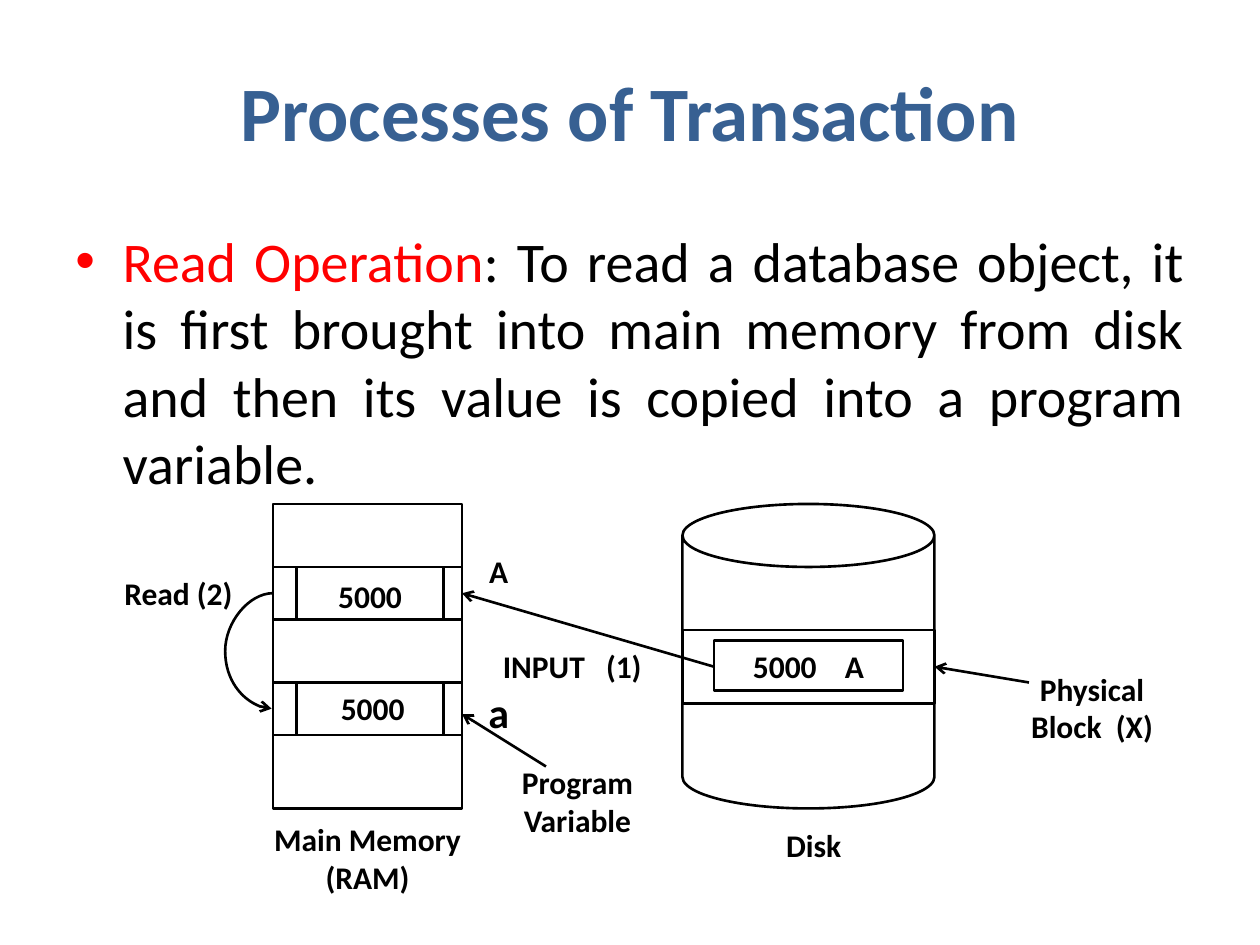
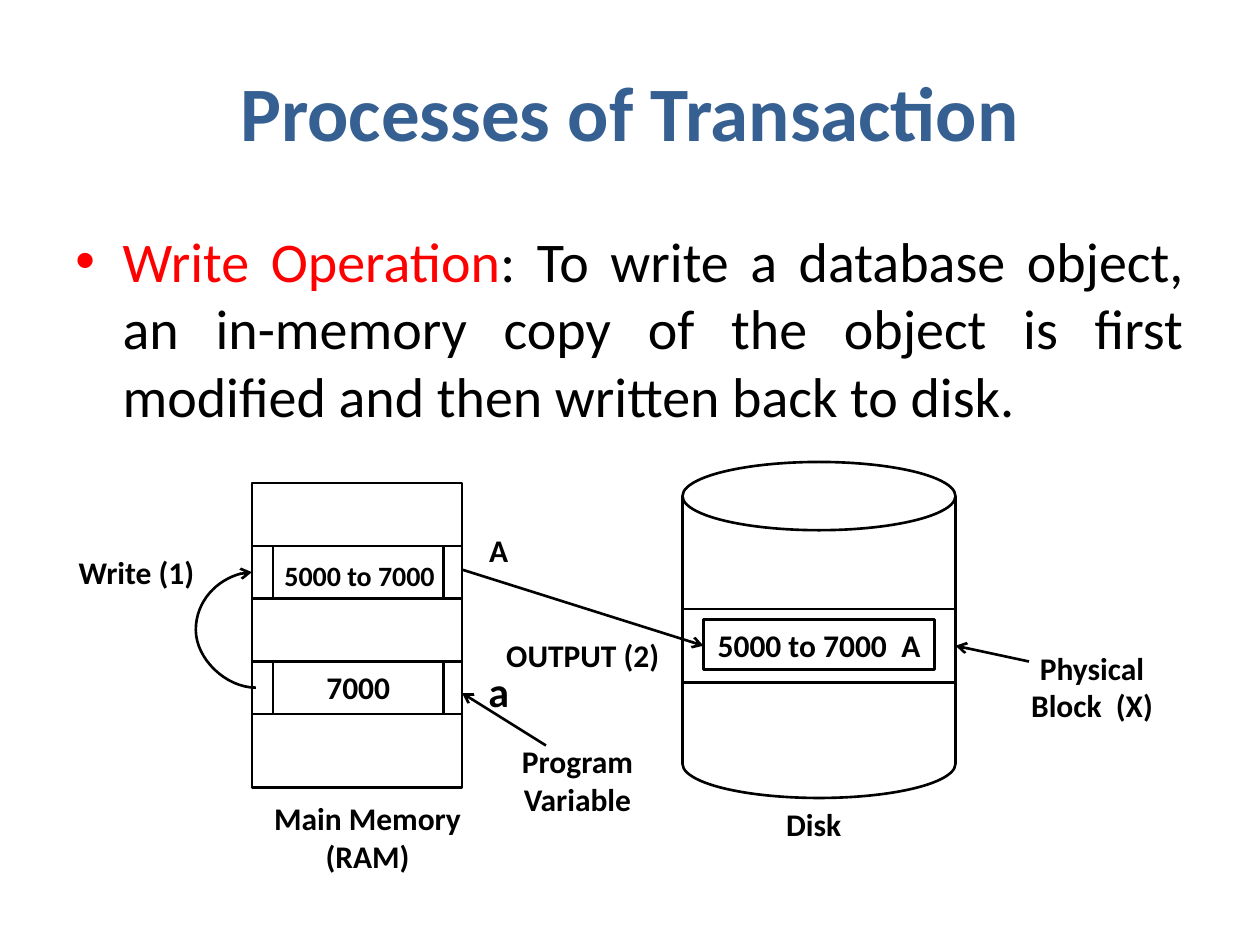
from dataclasses import dataclass

from lxml.etree import SubElement
from pptx import Presentation
from pptx.dml.color import RGBColor
from pptx.enum.shapes import MSO_CONNECTOR as Link, MSO_SHAPE as Preset
from pptx.enum.text import MSO_ANCHOR as Anchor, PP_ALIGN as Align
from pptx.oxml.ns import qn
from pptx.util import Emu, Pt

PX = 9525
FONT = "Calibri"
BLACK, RED, BLUE = "000000", "FF0000", "376092"
TITLE = "Processes of Transaction"
SLOT_OFFSETS = (48, 136)
SLOT_HEIGHT = 40
LABEL_HEIGHT = 38
TWO_LINES = 68
DISK_LEFT = 520
MEMORY_RIGHT = 352


@dataclass
class Operation:
    name: str
    text: str
    top: int
    memory_left: int
    slot: tuple
    disk: tuple
    record: tuple
    record_text: str
    record_gap: int
    transfer_text: str
    transfer_gap: int
    transfer_box: tuple
    transfer_line: tuple
    upper_text: str
    upper_box: tuple
    upper_size: int
    lower_text: str
    lower_left: int
    action_text: str
    action_left: int
    curve: tuple
    curve_left: int


READ = Operation(
    name="Read Operation",
    text=": To read a database object, it is first brought into main memory "
         "from disk and then its value is copied into a program variable.",
    top=384, memory_left=208, slot=(226, 112),
    disk=(384, 192, 232), record=(544, 144),
    record_text="5000|A", record_gap=12,
    transfer_text="INPUT|(1)", transfer_gap=8, transfer_box=(104, 152),
    transfer_line=(544, 508, 352, 452),
    upper_text="5000", upper_box=(230, 435, 104, 38), upper_size=18,
    lower_text="5000", lower_left=232,
    action_text="Read (2)", action_left=72,
    curve=(208, 452, 207, 540), curve_left=171)

WRITE = Operation(
    name="Write Operation",
    text=": To write a database object, an in-memory copy of the object is "
         "first modified and then written back to disk.",
    top=368, memory_left=192, slot=(208, 130),
    disk=(352, 208, 256), record=(536, 176),
    record_text="5000 to 7000|A", record_gap=4,
    transfer_text="OUTPUT (2)", transfer_gap=0, transfer_box=(112, 168),
    transfer_line=(352, 434, 536, 492),
    upper_text="5000 to 7000", upper_box=(202, 420, 144, 36), upper_size=16,
    lower_text="7000", lower_left=221,
    action_text="Write (1)", action_left=40,
    curve=(195, 524, 192, 436), curve_left=149)


def px(*lengths):
    return [Emu(length * PX) for length in lengths]


def color(value):
    return RGBColor.from_string(value)


def style(font, size, shade, bold=False):
    font.name = FONT
    font.size = Pt(size)
    font.bold = bold
    font.color.rgb = color(shade)


def write(shape, text, size=18, gap=0, anchor=Anchor.MIDDLE):
    frame = shape.text_frame
    frame.word_wrap = True
    frame.vertical_anchor = anchor
    para = frame.paragraphs[0]
    para.alignment = Align.CENTER
    for part in text.replace("|", "| |").split("|"):
        span = para.add_run()
        span.text = part
        style(span.font, size, BLACK, True)
        if part == " ":
            span.font._element.set("spc", str(gap * 100))


def label(page, text, box, **options):
    shape = page.shapes.add_textbox(*px(*box))
    write(shape, text, **options)


def outline(page, preset, box):
    shape = page.shapes.add_shape(preset, *px(*box))
    shape.shadow.inherit = False
    shape.fill.background()
    shape.line.color.rgb = color(BLACK)
    shape.line.width = Pt(1.5)
    return shape


def arrow(page, ends, kind=Link.STRAIGHT):
    line = page.shapes.add_connector(kind, *px(*ends))
    line.line.color.rgb = color(BLACK)
    line.line.width = Pt(1.5)
    SubElement(line.line._get_or_add_ln(), qn("a:tailEnd"), type="arrow")
    SubElement(line._element.spPr, qn("a:effectLst"))
    return line


def curved_arrow(page, ends, left):
    line = arrow(page, ends, Link.CURVE)
    bend = round((ends[0] - left) / (ends[0] - ends[2]) * 100000)
    guides = line._element.spPr.find(qn("a:prstGeom")).get_or_add_avLst()
    SubElement(guides, qn("a:gd"), name="adj1", fmla=f"val {bend}")


def add_title(page):
    title = page.shapes.title
    title.left, title.top, title.width, title.height = px(48, 24, 864, 120)
    title.text_frame.text = TITLE
    title.text_frame.vertical_anchor = Anchor.MIDDLE
    para = title.text_frame.paragraphs[0]
    para.alignment = Align.CENTER
    style(para.runs[0].font, 44, BLUE, True)


def add_bullet(page, name, text):
    box = page.shapes.add_textbox(*px(48, 168, 864, 520))
    box.text_frame.word_wrap = True
    para = box.text_frame.paragraphs[0]
    para.alignment = Align.JUSTIFY
    props = para._p.get_or_add_pPr()
    props.set("marL", str(36 * PX))
    props.set("indent", str(-36 * PX))
    SubElement(props, qn("a:buFont"), typeface="Arial")
    SubElement(props, qn("a:buChar"), char="•")
    for part, shade in ((name, RED), (text, BLACK)):
        span = para.add_run()
        span.text = part
        style(span.font, 32, shade)


def add_memory(page, operation):
    top, left = operation.top, operation.memory_left
    width = MEMORY_RIGHT - left
    slot_left, slot_width = operation.slot
    outline(page, Preset.RECTANGLE, (left, top, width, 232))
    for offset in SLOT_OFFSETS:
        for x, w in ((left, width), (slot_left, slot_width)):
            outline(page, Preset.RECTANGLE, (x, top + offset, w, SLOT_HEIGHT))
    label(page, operation.upper_text, operation.upper_box,
          size=operation.upper_size)
    label(page, operation.lower_text,
          (operation.lower_left, top + 136, 104, LABEL_HEIGHT))
    label(page, "Main Memory (RAM)", (192, top + 236, 176, TWO_LINES),
          anchor=Anchor.TOP)


def add_disk(page, operation):
    top = operation.top
    disk_top, width, height = operation.disk
    record_left, record_width = operation.record
    outline(page, Preset.CAN, (DISK_LEFT, disk_top, width, height))
    outline(page, Preset.RECTANGLE, (DISK_LEFT, top + 96, width, 56))
    record = outline(page, Preset.RECTANGLE,
                     (record_left, top + 104, record_width, LABEL_HEIGHT))
    write(record, operation.record_text, gap=operation.record_gap)
    label(page, "Disk", (568, top + 241, 104, LABEL_HEIGHT))
    label(page, "Physical Block|(X)", (768, top + 121, 128, TWO_LINES), gap=4)
    arrow(page, (784, top + 136, DISK_LEFT + width, top + 124))


def add_flow(page, operation):
    top = operation.top
    offset, width = operation.transfer_box
    arrow(page, operation.transfer_line)
    label(page, operation.transfer_text,
          (360, top + offset, width, LABEL_HEIGHT), gap=operation.transfer_gap)
    label(page, "A", (360, top + 32, 40, LABEL_HEIGHT))
    label(page, "a", (360, top + 134, 40, 49), size=24)
    arrow(page, (416, top + 200, MEMORY_RIGHT, top + 160))
    label(page, "Program Variable", (376, top + 192, 128, TWO_LINES))
    label(page, operation.action_text,
          (operation.action_left, top + 49, 128, LABEL_HEIGHT))
    curved_arrow(page, operation.curve, operation.curve_left)


def main():
    deck = Presentation()
    deck.slide_width, deck.slide_height = px(960, 720)
    for operation in (READ, WRITE):
        page = deck.slides.add_slide(deck.slide_layouts[5])
        add_title(page)
        add_bullet(page, operation.name, operation.text)
        add_memory(page, operation)
        add_disk(page, operation)
        add_flow(page, operation)
    deck.save("out.pptx")


if __name__ == "__main__":
    main()
